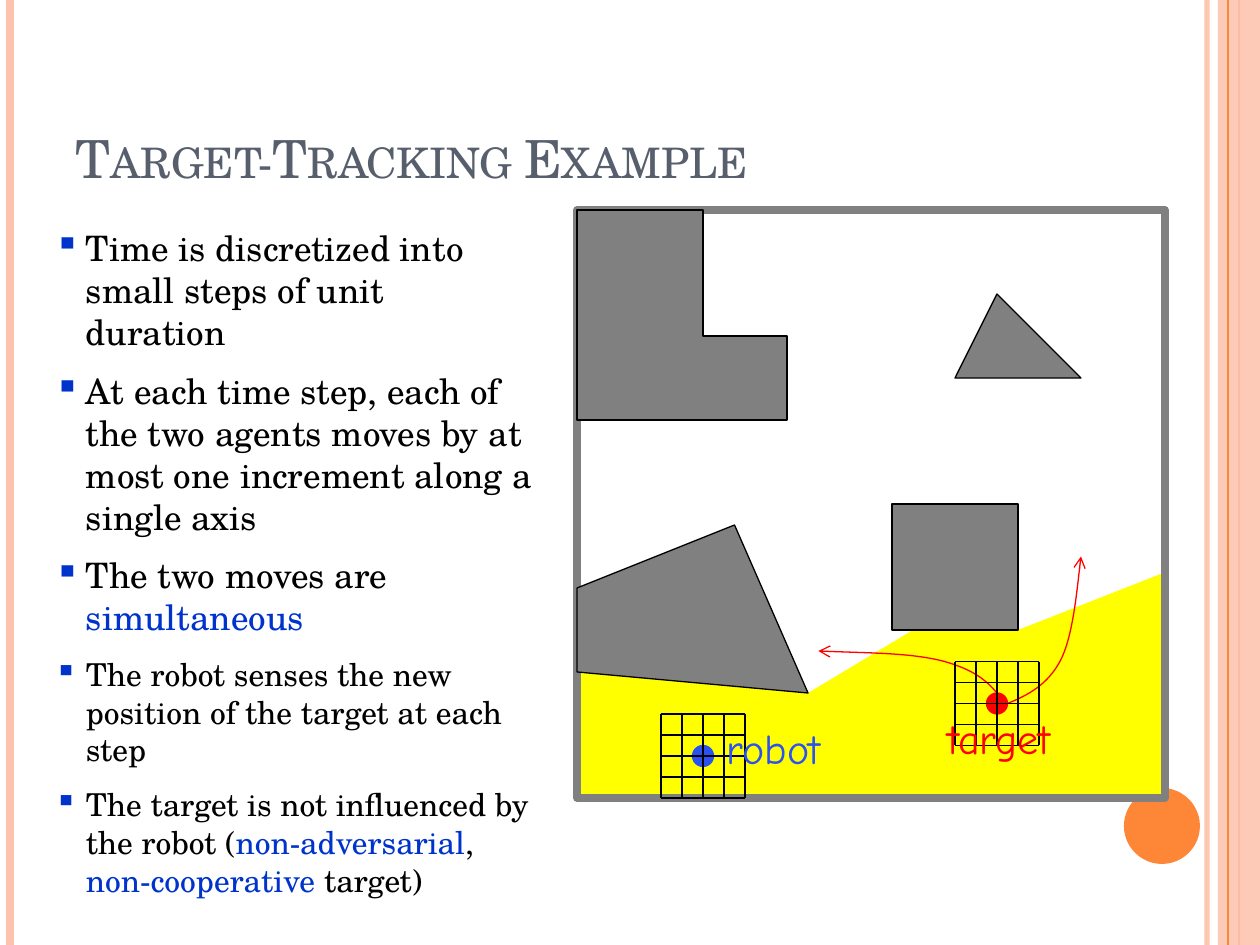
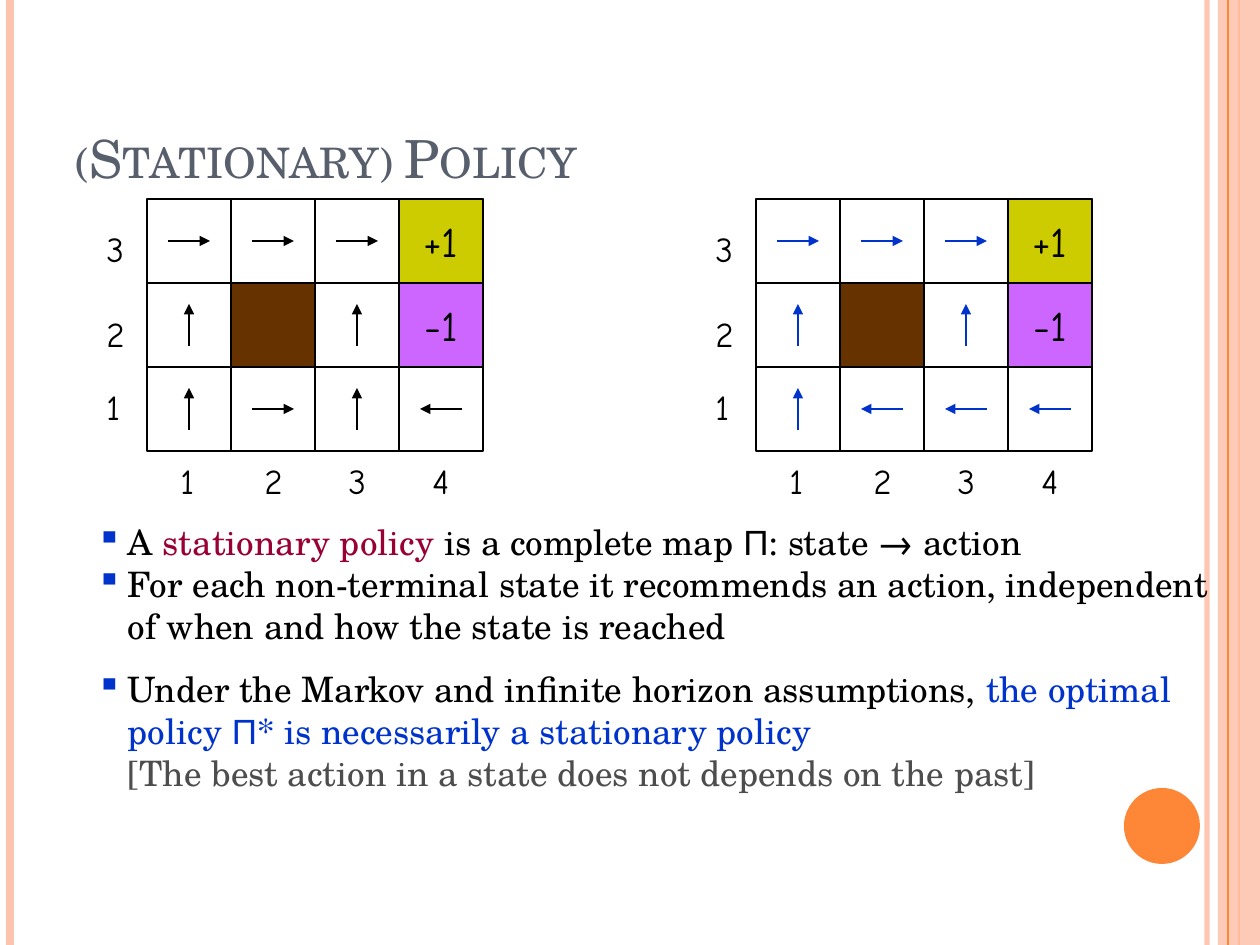
import pptx
import pptx.dml.color
import pptx.enum.dml
import pptx.enum.shapes
import pptx.enum.text
import pptx.oxml
import pptx.oxml.ns
import pptx.util
from lxml import etree

SCALE = 914400 / 126  # EMU in one px
WIDE, HIGH = 1260, 945
SERIF, COMIC = "TeX Gyre Schola", "Comic Neue"
BLACK, GREY, SLATE, DIM = "000000", "808080", "575F6D", "4D4D4D"
BLUE, ROYAL, RED, WINE = "0033CC", "2B51F3", "FF0000", "990033"
PEACH, ORANGE, YELLOW = "FEC3AE", "FE8637", "FFFF00"
OLIVE, PURPLE, BROWN = "CCCC00", "CC66FF", "663300"
RECT = pptx.enum.shapes.MSO_SHAPE.RECTANGLE
OVAL = pptx.enum.shapes.MSO_SHAPE.OVAL
STEPS = {"→": (1, 0), "←": (-1, 0), "↑": (0, -1)}


def px(n):
    return pptx.util.Emu(round(n * SCALE))


def hue(code):
    return pptx.dml.color.RGBColor.from_string(code)


def sub(node, tag, **attrs):
    return etree.SubElement(node, pptx.oxml.ns.qn(tag), attrs)


def fade(item, percent):
    """Make the one colour in the item's fill or line partly opaque."""
    code = item._element.spPr.xpath(".//a:srgbClr")[0]
    sub(code, "a:alpha", val=str(percent * 1000))


def paint(shape, fill=None, line=None, width=0.75):
    shape.shadow.inherit = False
    if fill:
        shape.fill.solid()
        shape.fill.fore_color.rgb = hue(fill)
    else:
        shape.fill.background()
    if line:
        shape.line.color.rgb = hue(line)
        shape.line.width = pptx.util.Pt(width)
    else:
        shape.line.fill.background()
    return shape


def block(shapes, kind, box, **look):
    return paint(shapes.add_shape(kind, *map(px, box)), **look)


def point(item, head):
    sub(item.line._get_or_add_ln(), "a:tailEnd", type=head)


def rule(shapes, x1, y1, x2, y2, color=BLACK, width=0.75, head=None):
    kind = pptx.enum.shapes.MSO_CONNECTOR.STRAIGHT
    line = shapes.add_connector(kind, *map(px, (x1, y1, x2, y2)))
    line.line.color.rgb = hue(color)
    line.line.width = pptx.util.Pt(width)
    if head:
        point(line, head)
    sub(line._element.spPr, "a:effectLst")
    return line


def trace(shapes, spots, close=True, **look):
    spots = [(px(x), px(y)) for x, y in spots]
    maker = shapes.build_freeform(*spots[0])
    maker.add_line_segments(spots[1:], close=close)
    return paint(maker.convert_to_shape(), **look)


def curve(shapes, spots, color):
    """Draw an arrow through a start and then triples of Bezier points."""
    shape = trace(shapes, spots, close=False, line=color)
    trail = shape._element.xpath(".//a:path")[0]
    legs = trail.findall(pptx.oxml.ns.qn("a:lnTo"))
    for i in range(0, len(legs), 3):
        bend = sub(trail, "a:cubicBezTo")
        for leg in legs[i:i + 3]:
            bend.append(leg[0])
            trail.remove(leg)
    point(shape, "arrow")


def write(para, words, font=SERIF, size=20, color=BLACK, caps=False):
    run = para.add_run()
    run.text = words
    run.font.name = font
    run.font.size = pptx.util.Pt(size)
    run.font.color.rgb = hue(color)
    if caps:
        run._r.get_or_add_rPr().set("cap", "small")


def frame(shapes, box, wrap=True):
    text = shapes.add_textbox(*map(px, box)).text_frame
    text.word_wrap = wrap
    return text


def label(shapes, box, words, **look):
    text = frame(shapes, box, wrap=False)
    text.auto_size = pptx.enum.text.MSO_AUTO_SIZE.SHAPE_TO_FIT_TEXT
    write(text.paragraphs[0], words, font=COMIC, **look)


def points(slide, box, items):
    """Fill a bulleted list; an item is (size, gap after, runs)."""
    text = frame(slide.shapes, box)
    for i, (size, gap, runs) in enumerate(items):
        para = text.add_paragraph() if i else text.paragraphs[0]
        para.space_after = pptx.util.Pt(gap)
        props = para._p.get_or_add_pPr()
        props.set("marL", "228600")
        props.set("indent", "-228600")
        sub(sub(props, "a:buClr"), "a:srgbClr", val=BLUE)
        sub(props, "a:buChar", char="▪")
        for words, look in runs:
            if words == "\n":
                para.add_line_break()
            else:
                write(para, words, size=size, **look)


def base(deck, title):
    """Add a slide with the side bands, the disc and a title."""
    slide = deck.slides.add_slide(deck.slide_layouts[6])
    shapes = slide.shapes
    fade(rule(shapes, 1207, 0, 1207, HIGH, color=PEACH, width=3), 93)
    rule(shapes, 10, 0, 10, HIGH, color=PEACH, width=4.5)
    rule(shapes, 1239, 0, 1239, HIGH, color=ORANGE, width=1.5)
    fade(block(shapes, RECT, (1218, 0, 42, HIGH), fill=PEACH), 87)
    rule(shapes, 1228, 0, 1228, HIGH, color=ORANGE)
    block(shapes, OVAL, (1124, 788, 76, 76), fill=ORANGE)
    text = frame(shapes, (63, 38, 1029, 157))
    text.vertical_anchor = pptx.enum.text.MSO_ANCHOR.BOTTOM
    write(text.paragraphs[0], title, size=30, color=SLATE, caps=True)
    return slide


def mesh(shapes, left, top, unit, count=4):
    side = unit * count
    for i in range(count + 1):
        step = i * unit
        rule(shapes, left, top + step, left + side, top + step)
        rule(shapes, left + step, top, left + step, top + side)


def scene(slide, left, top, side):
    """Draw the map of robot and target on a grid of 28 by 28 units."""
    shapes = slide.shapes.add_group_shape().shapes
    unit = side // 28

    def place(spots):
        return [(left + x * unit, top + y * unit) for x, y in spots]

    view = [(11, 23), (16, 20), (21, 20), (28, 17.25), (28, 28), (0, 28), (0, 22)]
    trace(shapes, place(view), fill=YELLOW)
    block(shapes, RECT, (left, top, side, side), line=GREY, width=4.5)
    walls = [
        [(15, 14), (21, 14), (21, 20), (15, 20)],
        [(0, 22), (11, 23), (7.5, 15), (0, 18)],
        [(0, 10), (10, 10), (10, 6), (6, 6), (6, 0), (0, 0)],
        [(20, 4), (18, 8), (24, 8)],
    ]
    for wall in walls:
        trace(shapes, place(wall), fill=GREY, line=BLACK)

    agents = [(6, 26, ROYAL), (20, 23.5, RED)]
    for x, y, color in agents:
        [(dotx, doty)] = place([(x - 0.5, y - 0.5)])
        block(shapes, OVAL, (dotx, doty, unit, unit), fill=color, line=color)
    routes = [
        [(20.5, 23.5), (21.5, 23.1), (22.4, 22.6), (23, 21.5),
         (23.6, 20.4), (23.9, 17.3), (24, 16.5)],
        [(20, 23), (19.5, 22.4), (18.9, 21.9), (17.5, 21.5),
         (16, 21.1), (13.8, 21.1), (11.5, 21)],
    ]
    for route in routes:
        curve(shapes, place(route), RED)
    for x, y, color in agents:
        [corner] = place([(x - 2, y - 2)])
        mesh(shapes, *corner, unit)
    label(shapes, (left + 358, top + 496, 151, 63), "target", size=24, color=RED)
    label(shapes, (left + 137, top + 506, 135, 63), "robot", size=24, color=ROYAL)


def policy(slide, left, top, cell, moves, color):
    """Draw a world of 4 by 3 cells; moves holds one string a row."""
    shapes = slide.shapes.add_group_shape().shapes
    wide, high = 4 * cell, 3 * cell
    world = block(shapes, RECT, (left, top, wide, high), line=BLACK)
    for i in range(1, 4):
        x = left + i * cell
        line = rule(shapes, x, top, x, top + high)
        if i == 2:
            line.begin_connect(world, 0)
            line.end_connect(world, 2)
    for i in range(1, 3):
        rule(shapes, left, top + i * cell, left + wide, top + i * cell)

    for col, row, fill, words in [(1, 1, BROWN, ""), (3, 0, OLIVE, "+1"),
                                  (3, 1, PURPLE, "-1")]:
        box = (left + col * cell, top + row * cell, cell, cell)
        state = block(shapes, RECT, box, fill=fill, line=BLACK)
        if words:
            text = state.text_frame
            text.word_wrap = False
            text.vertical_anchor = pptx.enum.text.MSO_ANCHOR.MIDDLE
            para = text.paragraphs[0]
            para.alignment = pptx.enum.text.PP_ALIGN.CENTER
            write(para, words, font=COMIC, size=24)

    for words, down in zip("321", (22, 107, 180)):
        label(shapes, (left - 53, top + down, 46, 54), words)
    for i, words in enumerate("1234"):
        label(shapes, (left + i * cell + cell // 4, top + high + 2, 46, 54), words)

    reach = cell // 4
    for row, signs in enumerate(moves):
        for col, sign in enumerate(signs):
            if sign in STEPS:
                dx, dy = (reach * n for n in STEPS[sign])
                x, y = left + (col + 0.5) * cell, top + (row + 0.5) * cell
                rule(shapes, x - dx, y - dy, x + dx, y + dy,
                     color=color, head="triangle")


def track(deck):
    slide = base(deck, "Target-Tracking Example")
    blue = {"color": BLUE}
    points(slide, (42, 220, 504, 696), [
        (20, 9.6, [("Time is discretized into small steps of unit duration", {})]),
        (20, 9.6, [("At each time step, each of the two agents moves by at most "
                    "one increment along a single axis", {})]),
        (20, 9.6, [("The two moves are ", {}), ("simultaneous", blue)]),
        (18, 9.6, [("The robot senses the new position of the target at each "
                    "step", {})]),
        (18, 0, [("The target is not influenced by the robot (", {}),
                 ("non-adversarial", blue), (", ", {}),
                 ("non-cooperative", blue), (" target)", {})]),
    ])
    scene(slide, 577, 210, 588)


def plan(deck):
    slide = base(deck, "(Stationary) Policy")
    blue = {"color": BLUE}
    points(slide, (84, 514, 1144, 286), [
        (20, 0, [("A ", {}), ("stationary policy", {"color": WINE}),
                 (" is a complete map ", {}), ("Π", {"font": "Arial"}),
                 (": state → action", {})]),
        (20, 12, [("For each non-terminal state it recommends an action, "
                   "independent of when and how the state is reached", {})]),
        (20, 0, [("Under the Markov and infinite horizon assumptions, ", {}),
                 ("the optimal policy ", blue),
                 ("Π", {"font": "Arial", "color": BLUE}),
                 ("* is necessarily a stationary policy", blue), ("\n", {}),
                 ("[The best action in a state does not depends on the past]",
                  {"color": DIM})]),
    ])
    policy(slide, 147, 199, 84, ["→→→", "↑ ↑", "↑→↑←"], BLACK)
    policy(slide, 756, 199, 84, ["→→→", "↑ ↑", "↑←←←"], BLUE)


def main():
    deck = pptx.Presentation()
    deck.slide_width, deck.slide_height = px(WIDE), px(HIGH)
    track(deck)
    plan(deck)
    deck.save("out.pptx")


if __name__ == "__main__":
    main()
